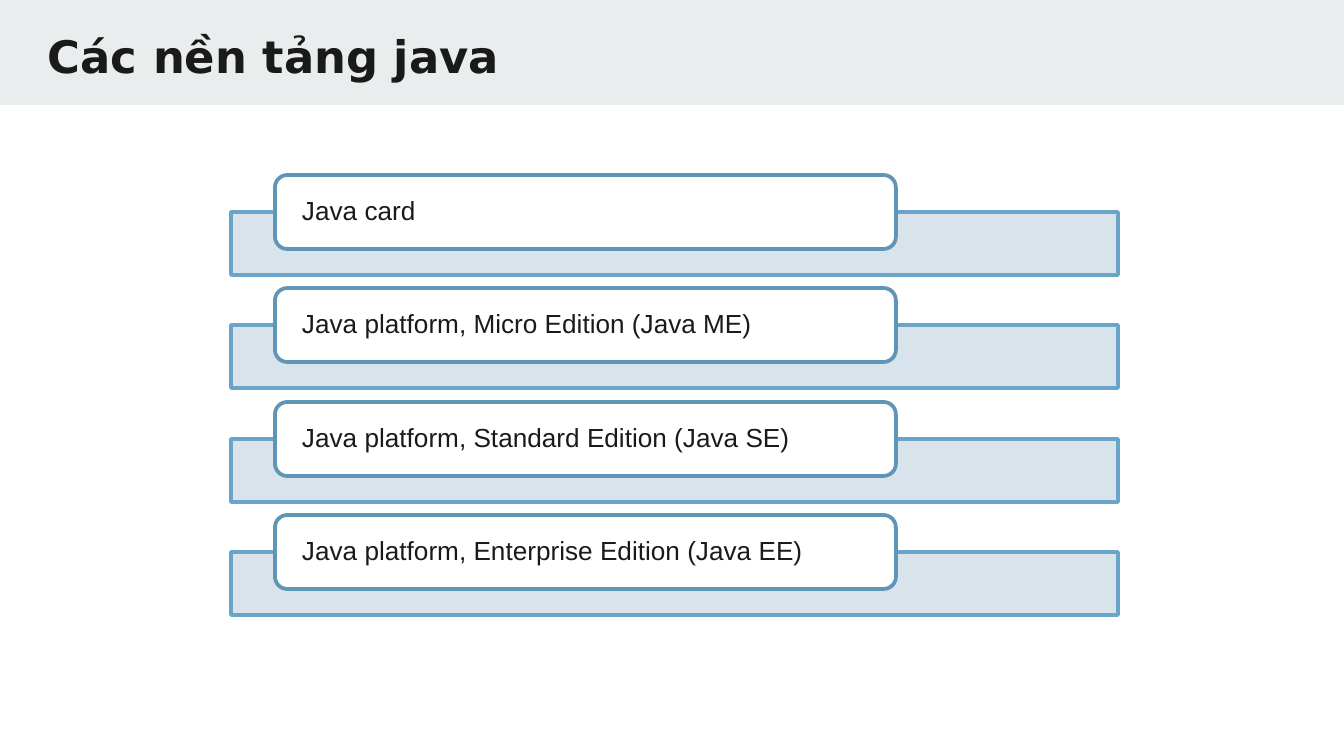
from lxml import etree
from pptx import Presentation, util as u
from pptx.dml.color import RGBColor
from pptx.enum import shapes, text
from pptx.oxml import ns

SCALE = 914400 / 134.4
EDITIONS = [
    "Java card",
    "Java platform, Micro Edition (Java ME)",
    "Java platform, Standard Edition (Java SE)",
    "Java platform, Enterprise Edition (Java EE)",
]


def px(length):
    return u.Emu(round(length * SCALE))


def color(value):
    return RGBColor.from_string(value)


class Canvas:
    ink = "1A1A1A"
    header = "E9EDEE"
    band = "D4E0EB"
    band_line = "6AA4C8"
    card = "FFFFFF"
    card_line = "6095B6"

    def __init__(self, page):
        self.page = page

    def shape(self, kind, at, fill, line=None, alpha=None):
        box = self.page.shapes.add_shape(kind, *map(px, at))
        box.shadow.inherit = False
        box.fill.solid()
        box.fill.fore_color.rgb = color(fill)
        if alpha is not None:
            tint = box.fill._xPr.find(".//" + ns.qn("a:srgbClr"))
            etree.SubElement(tint, ns.qn("a:alpha"), val=str(alpha * 1000))
        if line:
            box.line.color.rgb = color(line)
            box.line.width = u.Pt(2)
        else:
            box.line.fill.background()
        return box

    def label(self, at, words, size, font, inset, bold=False, spacing=1.0):
        box = self.page.shapes.add_textbox(*map(px, at))
        frame = box.text_frame
        frame.word_wrap = True
        frame.vertical_anchor = text.MSO_ANCHOR.MIDDLE
        frame.margin_left = frame.margin_right = px(inset[0])
        frame.margin_top = frame.margin_bottom = px(inset[1])
        para = frame.paragraphs[0]
        para.line_spacing = spacing
        span = para.add_run()
        span.text = words
        span.font.size = u.Pt(size)
        span.font.name = font
        span.font.bold = bold
        span.font.color.rgb = color(self.ink)
        return box


def main():
    deck = Presentation()
    deck.slide_width, deck.slide_height = px(1344), px(756)
    canvas = Canvas(deck.slides.add_slide(deck.slide_layouts[6]))
    rect = shapes.MSO_SHAPE.RECTANGLE
    rounded = shapes.MSO_SHAPE.ROUNDED_RECTANGLE

    canvas.shape(rect, (0, 0, 1344, 105), canvas.header)
    canvas.label((35, 16, 1279, 79), "Các nền tảng java", 24, "DejaVu Sans",
                 (13, 13), bold=True)

    for index, edition in enumerate(EDITIONS):
        top = 175 + round(index * 340 / 3)
        canvas.shape(rect, (231, top + 37, 887, 63), canvas.band,
                     canvas.band_line, alpha=90)
        canvas.shape(rounded, (275, top, 621, 74), canvas.card, canvas.card_line)
        canvas.label((279, top + 4, 614, 67), edition, 14, "Arial",
                     (23, 0), spacing=0.9)

    deck.save("out.pptx")


if __name__ == "__main__":
    main()
